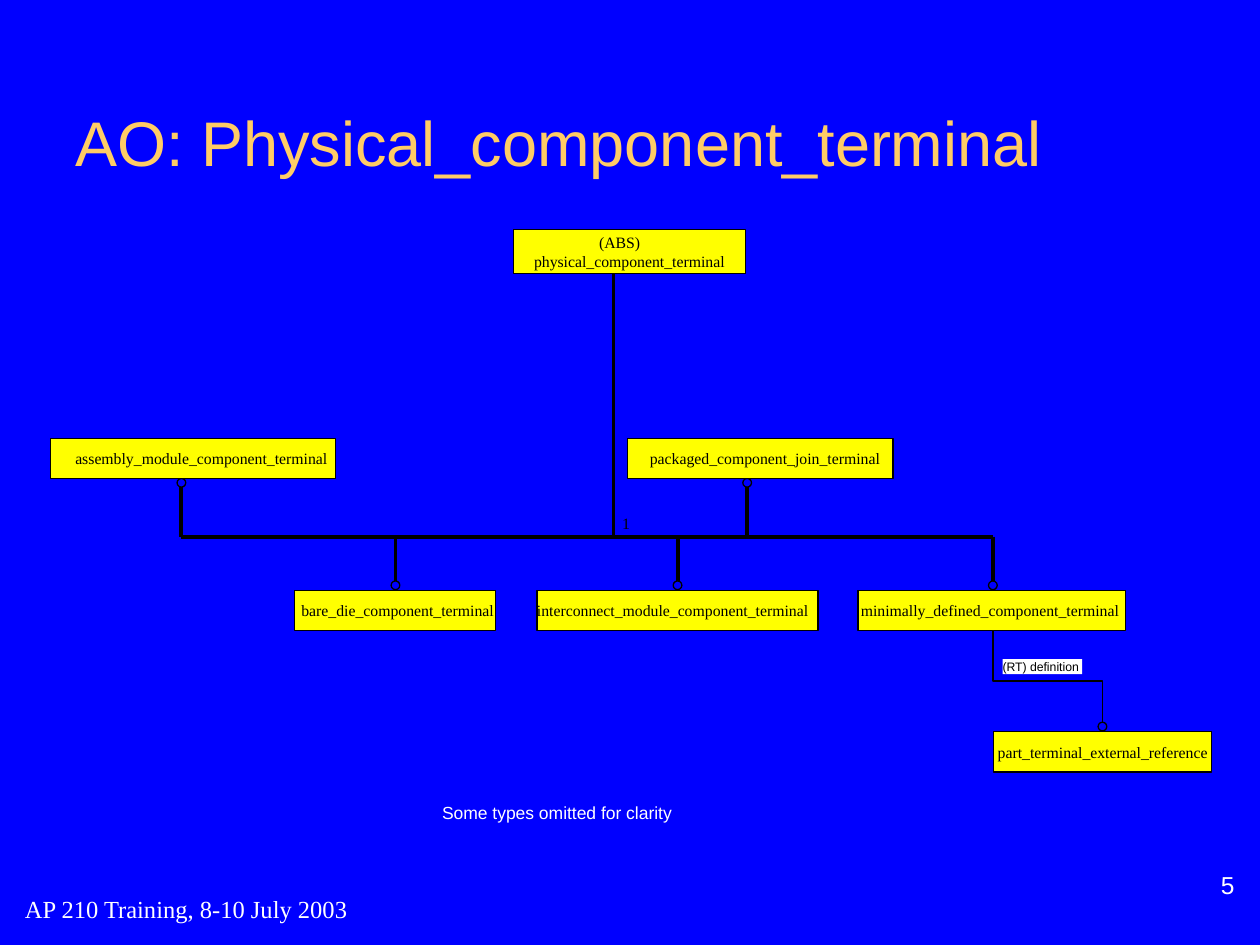
from lxml.etree import SubElement
from pptx import Presentation
from pptx.dml.color import RGBColor
from pptx.enum.shapes import MSO_CONNECTOR, MSO_SHAPE
from pptx.enum.text import MSO_ANCHOR, MSO_AUTO_SIZE, PP_ALIGN
from pptx.oxml.ns import qn
from pptx.util import Pt

SERIF, SANS = "Times New Roman", "Arial"
BLACK, WHITE, YELLOW = "000000", "FFFFFF", "FFFF00"
BLUE, GOLD = "0000FF", "FFCC66"

UPPER_ROW, LOWER_ROW, REFERENCE_ROW = 250.4, 337.5, 418.2
BOX_HEIGHT, LABEL_HEIGHT, RING = 23, 10.8, 5
BUS_Y, TRUNK_X, DEFINITION_X, REFERENCE_X = 306.7, 350.6, 567.4, 630

# Entity name, row, box left and width, label left and width
ENTITIES = [
    ("assembly_module_component_terminal", UPPER_ROW, 28.8, 163, 43, 144),
    ("packaged_component_join_terminal", UPPER_ROW, 358.4, 151.9, 371.2, 131.8),
    ("bare_die_component_terminal", LOWER_ROW, 168.3, 115, 172.1, 110.2),
    ("interconnect_module_component_terminal", LOWER_ROW, 306.9, 160.5, 306.9, 154.8),
    ("minimally_defined_component_terminal", LOWER_ROW, 490.3, 153, 491.8, 147.6),
    ("part_terminal_external_reference", REFERENCE_ROW, 567.8, 124.6, 570, 120.2),
]
UPPER_BRANCHES = [103.7, 427]
LOWER_BRANCHES = [226, 387.2, DEFINITION_X]


def colour(value):
    return RGBColor.from_string(value)


def write_text(shape, text, size=9, font=SERIF, color=BLACK, align=PP_ALIGN.CENTER,
               anchor=MSO_ANCHOR.TOP, margins=(0, 0), wrap=False):
    frame = shape.text_frame
    frame.auto_size = MSO_AUTO_SIZE.NONE
    frame.word_wrap = wrap
    frame.vertical_anchor = anchor
    frame.margin_left = frame.margin_right = Pt(margins[0])
    frame.margin_top = frame.margin_bottom = Pt(margins[1])
    para = frame.paragraphs[0]
    para.alignment = align
    span = para.add_run()
    span.text = text
    span.font.size = Pt(size)
    span.font.name = font
    span.font.color.rgb = colour(color)


def add_label(page, left, top, width, height, text, **style):
    label = page.shapes.add_textbox(Pt(left), Pt(top), Pt(width), Pt(height))
    write_text(label, text, **style)


def paint(shape, fill=None, line=BLACK, weight=0.75):
    shape.shadow.inherit = False
    if fill:
        shape.fill.solid()
        shape.fill.fore_color.rgb = colour(fill)
    else:
        shape.fill.background()
    if line:
        shape.line.color.rgb = colour(line)
        shape.line.width = Pt(weight)
    else:
        shape.line.fill.background()


def add_shape(page, kind, left, top, width, height, **style):
    shape = page.shapes.add_shape(kind, Pt(left), Pt(top), Pt(width), Pt(height))
    paint(shape, **style)
    return shape


def add_line(page, x1, y1, x2, y2):
    line = page.shapes.add_connector(MSO_CONNECTOR.STRAIGHT, Pt(x1), Pt(y1), Pt(x2), Pt(y2))
    line.line.color.rgb = colour(BLACK)
    line.line.width = Pt(2.25)
    SubElement(line._element.spPr, qn("a:effectLst"))


def add_ring(page, center_x, top):
    add_shape(page, MSO_SHAPE.OVAL, center_x - RING / 2, top, RING, RING)


def add_title(page, text):
    title = page.shapes.title
    title.left, title.top, title.width, title.height = Pt(36), Pt(36), Pt(648), Pt(90)
    write_text(title, text, size=36, font=SANS, color=GOLD, align=PP_ALIGN.LEFT,
               anchor=MSO_ANCHOR.MIDDLE, margins=(7.2, 3.6), wrap=True)


def add_root(page):
    add_shape(page, MSO_SHAPE.RECTANGLE, 293.5, 131, 132.5, 25.2, fill=YELLOW)
    add_label(page, 342.2, 133.2, 23.8, LABEL_HEIGHT, "(ABS)")
    add_label(page, 305.3, 144, 108.7, LABEL_HEIGHT, "physical_component_terminal")


def add_entity(page, name, top, left, width, label_left, label_width):
    add_shape(page, MSO_SHAPE.RECTANGLE, left, top, width, BOX_HEIGHT, fill=YELLOW)
    add_label(page, label_left, top + 6, label_width, LABEL_HEIGHT, name)


def add_tree(page):
    # Trunk and bus
    add_line(page, TRUNK_X, 156.5, TRUNK_X, BUS_Y)
    add_line(page, UPPER_BRANCHES[0], BUS_Y, DEFINITION_X, BUS_Y)
    add_label(page, 355.6, 293.4, 4.3, LABEL_HEIGHT, "1")
    # Branches, each ending in a ring at its entity
    for x in UPPER_BRANCHES:
        ring_top = UPPER_ROW + BOX_HEIGHT
        add_line(page, x, BUS_Y, x, ring_top + RING)
        add_ring(page, x, ring_top)
    for x in LOWER_BRANCHES:
        ring_top = LOWER_ROW - RING - 0.5
        add_line(page, x, BUS_Y, x, ring_top)
        add_ring(page, x, ring_top)


def add_definition(page):
    ring_top = REFERENCE_ROW - RING - 0.5
    bend_y = 389.1
    builder = page.shapes.build_freeform(Pt(DEFINITION_X), Pt(LOWER_ROW + BOX_HEIGHT))
    corners = [(DEFINITION_X, bend_y), (REFERENCE_X, bend_y), (REFERENCE_X, ring_top)]
    builder.add_line_segments([(Pt(x), Pt(y)) for x, y in corners], close=False)
    # Slightly heavier than the boxes, so that every segment shows
    paint(builder.convert_to_shape(), weight=1)
    add_ring(page, REFERENCE_X, ring_top)
    tag = add_shape(page, MSO_SHAPE.RECTANGLE, 573, 376.6, 45.4, 8.6, fill=WHITE, line=None)
    write_text(tag, "(RT) definition ", size=7, font=SANS)


def main():
    deck = Presentation()
    deck.slide_width, deck.slide_height = Pt(720), Pt(540)
    page = deck.slides.add_slide(deck.slide_layouts[5])
    page.background.fill.solid()
    page.background.fill.fore_color.rgb = colour(BLUE)

    # Title and diagram
    add_title(page, "AO: Physical_component_terminal")
    add_root(page)
    add_tree(page)
    for entity in ENTITIES:
        add_entity(page, *entity)
    add_definition(page)

    # Remark, footer and page number
    add_label(page, 245.5, 454.6, 145.4, 19.4, "Some types omitted for clarity",
              size=10, font=SANS, color=WHITE, margins=(7.2, 3.6))
    add_label(page, 7.2, 501.1, 336.2, 36, "AP 210 Training, 8-10 July 2003",
              size=14, color=WHITE, align=PP_ALIGN.LEFT, anchor=MSO_ANCHOR.MIDDLE,
              margins=(7.2, 3.6), wrap=True)
    add_label(page, 564.9, 483.8, 147.6, 30.2, "5", size=14, font=SANS, color=WHITE,
              align=PP_ALIGN.RIGHT, anchor=MSO_ANCHOR.BOTTOM, margins=(7.2, 0), wrap=True)
    deck.save("out.pptx")


if __name__ == "__main__":
    main()
